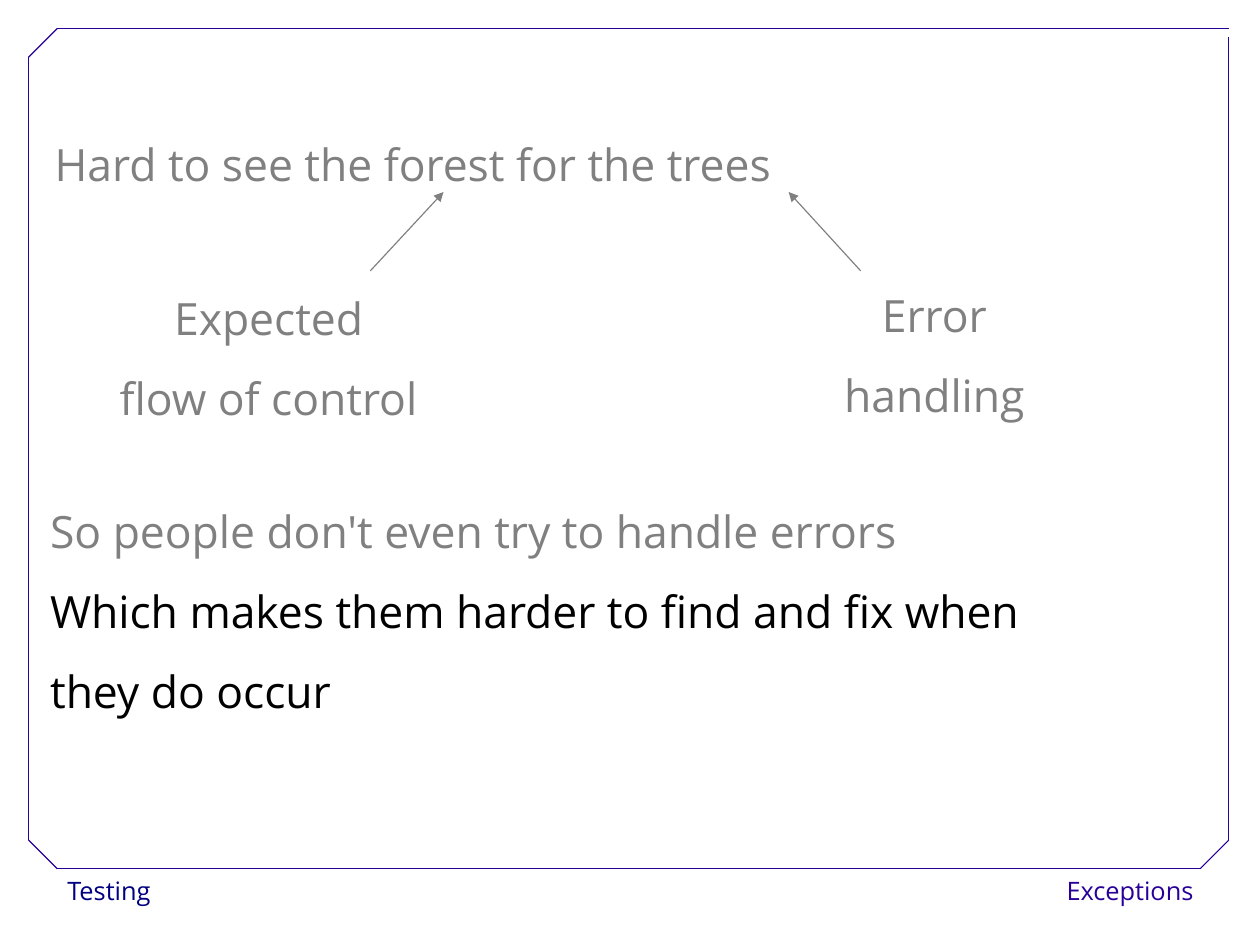
from pptx import Presentation
from pptx.dml.color import RGBColor
from pptx.enum.shapes import MSO_CONNECTOR
from pptx.enum.text import MSO_ANCHOR, PP_ALIGN
from pptx.oxml.ns import qn
from pptx.util import Cm, Inches, Pt
from lxml.etree import SubElement

COLORS = {
    "frame": "280099",
    "topic": "000080",
    "earlier": "808080",
    "current": "000000",
    "paper": "FFFFFF",
}


class LectureSlide:
    """Holds the lecture style and the slide being filled."""

    font = "Open Sans"
    line_width = Pt(0.75)

    def __init__(self, slide):
        self.slide = slide

    def color(self, name):
        return RGBColor.from_string(COLORS[name])

    def text(self, box, lines, size=28, spacing=1.5, align=PP_ALIGN.LEFT):
        """Add a text box; lines are (wording, color name) pairs."""
        shape = self.slide.shapes.add_textbox(*map(Inches, box))
        frame = shape.text_frame
        frame.word_wrap = True
        frame.vertical_anchor = MSO_ANCHOR.TOP
        for index, (wording, color) in enumerate(lines):
            paragraph = frame.add_paragraph() if index else frame.paragraphs[0]
            paragraph.text = wording
            paragraph.alignment = align
            paragraph.line_spacing = spacing
            paragraph.font.name = self.font
            paragraph.font.size = Pt(size)
            paragraph.font.color.rgb = self.color(color)
        return shape

    def footer(self, box, wording, color, align):
        label = self.text(box, [(wording, color)], 16, 1.02, align)
        label.fill.solid()
        label.fill.fore_color.rgb = self.color("paper")

    def line(self, start, end, color):
        connector = self.slide.shapes.add_connector(
            MSO_CONNECTOR.STRAIGHT, *map(Inches, (*start, *end)))
        connector.line.color.rgb = self.color(color)
        connector.line.width = self.line_width
        SubElement(connector._element.spPr, qn("a:effectLst"))
        return connector

    def arrow(self, start, end, color):
        connector = self.line(start, end, color)
        SubElement(connector.line._get_or_add_ln(), qn("a:tailEnd"), type="triangle")

    def frame(self, left, top, right, bottom, cut):
        """Outline the slide with cut corners, leaving the top right one open."""
        edges = [
            ((left + cut, bottom), (right - cut, bottom)),
            ((left, bottom - cut), (left, top + cut)),
            ((left + cut, top), (right, top)),
            ((right, bottom - cut), (right, top + 0.07)),
            ((left, top + cut), (left + cut, top)),
            ((right - cut, bottom), (right, bottom - cut)),
            ((left, bottom - cut), (left + cut, bottom)),
        ]
        for start, end in edges:
            self.line(start, end, "frame")


def main():
    presentation = Presentation()
    presentation.slide_width = Cm(28)
    presentation.slide_height = Cm(21)
    lecture = LectureSlide(
        presentation.slides.add_slide(presentation.slide_layouts[6]))

    lecture.footer((0.49, 7.6, 2.15, 0.4), "Testing", "topic", PP_ALIGN.LEFT)
    lecture.footer((9.14, 7.6, 1.4, 0.4), "Exceptions", "frame", PP_ALIGN.RIGHT)
    lecture.frame(0.25, 0.25, 10.75, 7.6, cut=0.25)

    lecture.text((0.38, 0.92, 7.53, 0.8),
                 [("Hard to see the forest for the trees", "earlier")])
    lecture.text((0.43, 2.26, 3.84, 1.5),
                 [("Expected", "earlier"), ("flow of control", "earlier")],
                 align=PP_ALIGN.CENTER)
    lecture.arrow((3.24, 2.37), (3.88, 1.68), "earlier")
    lecture.text((6.77, 2.24, 2.81, 1.5),
                 [("Error", "earlier"), ("handling", "earlier")],
                 align=PP_ALIGN.CENTER)
    lecture.arrow((7.53, 2.37), (6.9, 1.68), "earlier")
    lecture.text((0.34, 4.13, 9.75, 2.2), [
        ("So people don't even try to handle errors", "earlier"),
        ("Which makes them harder to find and fix when", "current"),
        ("they do occur", "current"),
    ])

    presentation.save("out.pptx")


if __name__ == "__main__":
    main()
